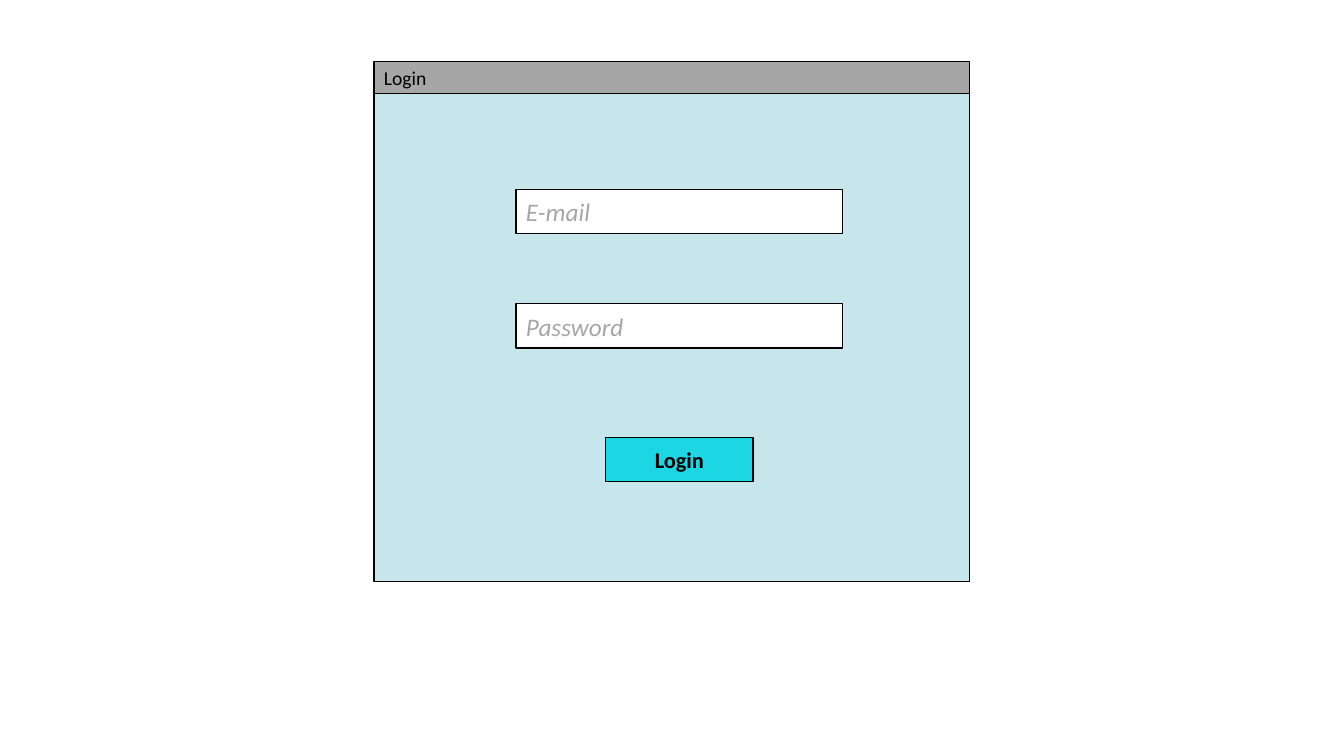
from dataclasses import dataclass
from typing import Optional

import pptx
import pptx.dml.color
import pptx.enum.shapes
import pptx.enum.text
import pptx.util

Align = pptx.enum.text.PP_ALIGN


@dataclass(frozen=True)
class Theme:
    font: str = "Calibri"
    ink: str = "000000"
    panel: str = "C7E6EB"
    bar: str = "A6A6A6"
    hint: str = "A6A6A6"
    field: str = "FFFFFF"
    button: str = "1CD6E4"
    title_size: float = 14
    button_size: float = 16
    field_size: float = 18
    outline: float = 1


@dataclass(frozen=True)
class Frame:
    left: float
    top: float
    width: float
    height: float

    def lengths(self) -> list[pptx.util.Length]:
        return [pptx.util.Pt(value) for value in (self.left, self.top, self.width, self.height)]


@dataclass(frozen=True)
class Label:
    words: str
    size: float
    color: str
    bold: bool = False
    italic: bool = False
    align: Align = Align.LEFT


@dataclass(frozen=True)
class Block:
    frame: Frame
    fill: str
    label: Optional[Label] = None


THEME = Theme()
WINDOW_LEFT, WINDOW_WIDTH = 267.12, 425.52
FIELD_LEFT, FIELD_TOP, FIELD_STEP = 368.64, 135.36, 81.64
FIELD_WIDTH, CONTROL_HEIGHT = 233.28, 31.68

PANEL = Block(Frame(WINDOW_LEFT, 46.8, WINDOW_WIDTH, 368.64), THEME.panel)
BUTTON = Block(
    Frame(432.72, 312.48, 105.12, CONTROL_HEIGHT),
    THEME.button,
    Label("Login", THEME.button_size, THEME.ink, bold=True, align=Align.CENTER),
)
TITLE_BAR = Block(Frame(WINDOW_LEFT, 43.92, WINDOW_WIDTH, 23.04), THEME.bar)
TITLE_FRAME = Frame(WINDOW_LEFT, 43.2, 69.12, 24.48)
TITLE = Label("Login", THEME.title_size, THEME.ink)
FIELDS = [
    Block(
        Frame(FIELD_LEFT, FIELD_TOP + row * FIELD_STEP, FIELD_WIDTH, CONTROL_HEIGHT),
        THEME.field,
        Label(hint, THEME.field_size, THEME.hint, italic=True),
    )
    for row, hint in enumerate(("E-mail", "Password"))
]


def rgb(color: str) -> pptx.dml.color.RGBColor:
    return pptx.dml.color.RGBColor.from_string(color)


def write_label(shape, label: Label) -> None:
    shape.text_frame.word_wrap = True
    para = shape.text_frame.paragraphs[0]
    para.text = label.words
    para.alignment = label.align
    para.font.name = THEME.font
    para.font.size = pptx.util.Pt(label.size)
    para.font.bold = label.bold
    para.font.italic = label.italic
    para.font.color.rgb = rgb(label.color)


def draw_block(page, block: Block) -> None:
    box = page.shapes.add_shape(
        pptx.enum.shapes.MSO_SHAPE.RECTANGLE, *block.frame.lengths()
    )
    box.shadow.inherit = False
    box.fill.solid()
    box.fill.fore_color.rgb = rgb(block.fill)
    box.line.color.rgb = rgb(THEME.ink)
    box.line.width = pptx.util.Pt(THEME.outline)
    if block.label:
        box.text_frame.vertical_anchor = pptx.enum.text.MSO_ANCHOR.MIDDLE
        write_label(box, block.label)


def draw_title(page, frame: Frame, label: Label) -> None:
    box = page.shapes.add_textbox(*frame.lengths())
    box.text_frame.auto_size = pptx.enum.text.MSO_AUTO_SIZE.SHAPE_TO_FIT_TEXT
    write_label(box, label)


def main() -> None:
    deck = pptx.Presentation()
    deck.slide_width = pptx.util.Pt(960)
    deck.slide_height = pptx.util.Pt(540)
    page = deck.slides.add_slide(deck.slide_layouts[6])
    for block in (PANEL, BUTTON, TITLE_BAR):
        draw_block(page, block)
    draw_title(page, TITLE_FRAME, TITLE)
    for block in FIELDS:
        draw_block(page, block)
    deck.save("out.pptx")


if __name__ == "__main__":
    main()
